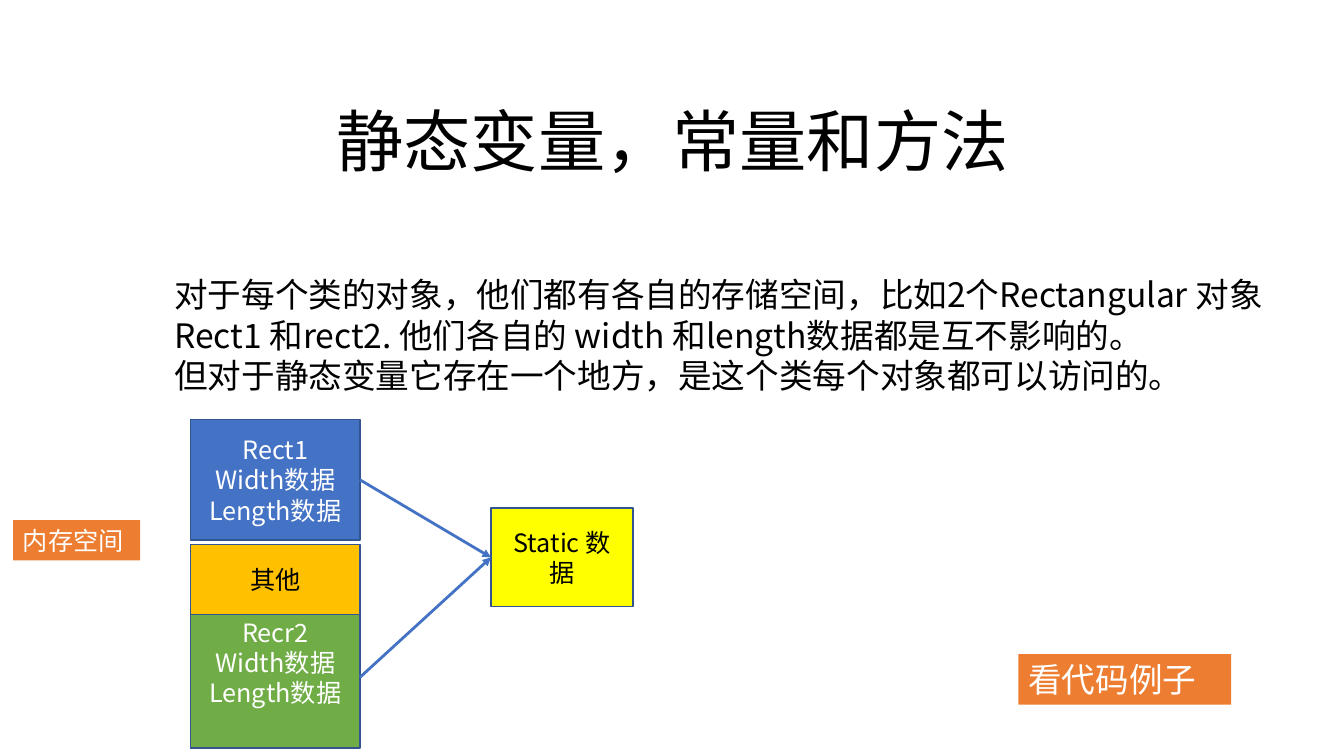
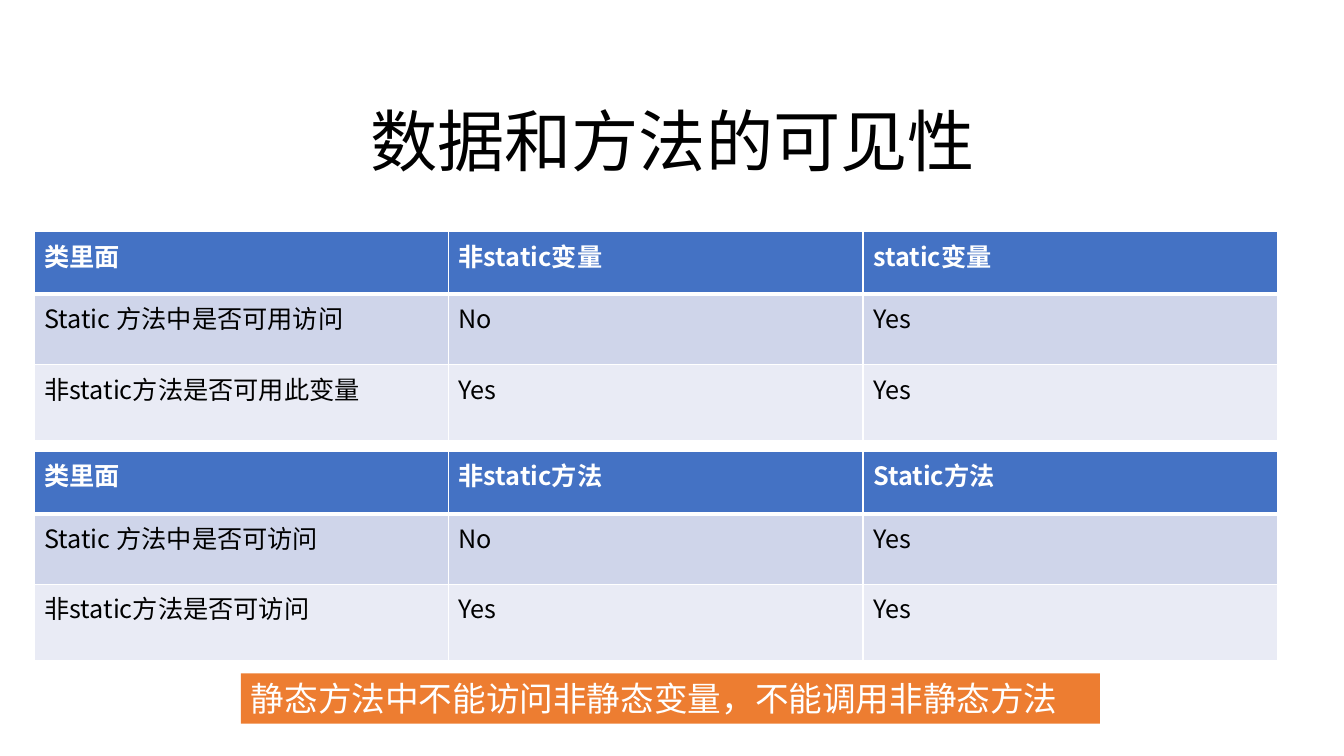
from dataclasses import dataclass

from lxml.etree import SubElement
from pptx import Presentation
from pptx.dml.color import RGBColor
from pptx.enum.shapes import MSO_CONNECTOR, MSO_SHAPE
from pptx.enum.text import MSO_ANCHOR, PP_ALIGN
from pptx.oxml import parse_xml
from pptx.oxml.ns import nsdecls, qn
from pptx.shapes.autoshape import Shape
from pptx.slide import Slide
from pptx.table import _Cell
from pptx.text.text import TextFrame
from pptx.util import Inches, Pt

FONT = "Noto Sans CJK SC"
COLORS = {
    "black": "000000",
    "white": "FFFFFF",
    "blue": "4472C4",
    "outline": "325491",
    "orange": "ED7D31",
    "green": "70AD47",
    "yellow": "FFFF00",
    "gold": "FFC000",
    "band_dark": "CFD5EA",
    "band_light": "E9EBF5",
}
ROW_FILLS = ["blue", "band_dark", "band_light"]
ROW_HEIGHTS = [0.62, 0.7, 0.75]
COLUMN_WIDTH = 4.11


@dataclass(frozen=True)
class Block:
    """A memory block with centred text."""

    text: str
    left: float
    top: float
    width: float
    height: float
    fill: str
    color: str = "white"
    bottom_inset: float = 0.05


@dataclass(frozen=True)
class Label:
    """An orange label with left-aligned text."""

    text: str
    left: float
    top: float
    width: float
    height: float
    size: int = 24


@dataclass(frozen=True)
class Grid:
    """A table of access rules."""

    top: float
    rows: list[list[str]]


RECT1 = Block("Rect1\nWidth数据\nLength数据", 1.89, 4.16, 1.68, 1.2, "blue")
RECT2 = Block("Recr2\nWidth数据\nLength数据", 1.89, 6.02, 1.68, 1.4, "green",
              bottom_inset=0.35)
STATIC = Block("Static 数据", 4.87, 5.04, 1.41, 0.98, "yellow", "black")
OTHER = Block("其他", 1.89, 5.4, 1.68, 0.7, "gold", "black")
MEMORY_LABELS = [
    Label("看代码例子", 10.1, 6.49, 2.11, 0.5),
    Label("内存空间", 0.13, 5.16, 1.26, 0.4, 18),
]
RULE_LABEL = Label("静态方法中不能访问非静态变量，不能调用非静态方法", 2.39, 6.68, 8.52, 0.5)
GRIDS = [
    Grid(2.3, [
        ["类里面", "非static变量", "static变量"],
        ["Static 方法中是否可用访问", "No", "Yes"],
        ["非static方法是否可用此变量", "Yes", "Yes"],
    ]),
    Grid(4.48, [
        ["类里面", "非static方法", "Static方法"],
        ["Static 方法中是否可访问", "No", "Yes"],
        ["非static方法是否可访问", "Yes", "Yes"],
    ]),
]
INTRODUCTION = (
    "对于每个类的对象，他们都有各自的存储空间，比如2个Rectangular 对象\n"
    "Rect1 和rect2. 他们各自的 width 和length数据都是互不影响的。\n"
    "但对于静态变量它存在一个地方，是这个类每个对象都可以访问的。"
)


def rgb(name: str) -> RGBColor:
    """Look up a named colour."""
    return RGBColor.from_string(COLORS[name])


def write_text(frame: TextFrame, text: str, *, size: int = 18, color: str = "black",
               bold: bool = False, align: PP_ALIGN = PP_ALIGN.LEFT,
               spacing: float | None = None,
               anchor: MSO_ANCHOR = MSO_ANCHOR.TOP) -> None:
    """Fill a frame with one formatted paragraph per line of text."""
    frame.word_wrap = True
    frame.vertical_anchor = anchor
    for index, line in enumerate(text.split("\n")):
        para = frame.add_paragraph() if index else frame.paragraphs[0]
        para.alignment = align
        if spacing:
            para.line_spacing = spacing
        span = para.add_run()
        span.text = line
        span.font.name = FONT
        span.font.size = Pt(size)
        span.font.bold = bold
        span.font.color.rgb = rgb(color)
        SubElement(span.font._element, qn("a:ea"), typeface=FONT)


def add_text(page: Slide, text: str, left: float, top: float, width: float,
             height: float, **style) -> None:
    """Add a wrapped text box."""
    box = page.shapes.add_textbox(Inches(left), Inches(top), Inches(width), Inches(height))
    write_text(box.text_frame, text, **style)


def add_title(page: Slide, text: str) -> None:
    """Add the shared slide title."""
    add_text(page, text, 0.66, 0.54, 12.02, 1.17, size=48,
             align=PP_ALIGN.CENTER, spacing=1.5)


def add_rectangle(page: Slide, item: Block | Label, fill: str) -> Shape:
    """Add a plain filled rectangle without outline."""
    box = page.shapes.add_shape(MSO_SHAPE.RECTANGLE, Inches(item.left), Inches(item.top),
                                Inches(item.width), Inches(item.height))
    box.shadow.inherit = False
    box.fill.solid()
    box.fill.fore_color.rgb = rgb(fill)
    box.line.fill.background()
    return box


def add_block(page: Slide, block: Block) -> Shape:
    """Add an outlined memory block."""
    box = add_rectangle(page, block, block.fill)
    box.line.color.rgb = rgb("outline")
    box.line.width = Pt(1)
    box.text_frame.margin_bottom = Inches(block.bottom_inset)
    write_text(box.text_frame, block.text, color=block.color,
               align=PP_ALIGN.CENTER, anchor=MSO_ANCHOR.MIDDLE)
    return box


def add_label(page: Slide, label: Label) -> None:
    """Add an orange label."""
    box = add_rectangle(page, label, "orange")
    write_text(box.text_frame, label.text, size=label.size, color="white")


def add_arrow(page: Slide, source: Shape, target: Shape) -> None:
    """Join the right side of one block to the left side of another."""
    arrow = page.shapes.add_connector(MSO_CONNECTOR.STRAIGHT, 0, 0, 0, 0)
    arrow.begin_connect(source, 3)
    arrow.end_connect(target, 1)
    arrow.line.color.rgb = rgb("blue")
    arrow.line.width = Pt(2)
    SubElement(arrow.line._get_or_add_ln(), qn("a:tailEnd"), type="triangle")
    SubElement(arrow._element.spPr, qn("a:effectLst"))


def set_borders(cell: _Cell, top: int, bottom: int) -> None:
    """Give a cell white borders of the given top and bottom widths."""
    properties = cell._tc.get_or_add_tcPr()
    widths = {"lnL": 1, "lnR": 1, "lnT": top, "lnB": bottom}
    for index, (side, width) in enumerate(widths.items()):
        properties.insert(index, parse_xml(
            f'<a:{side} {nsdecls("a")} w="{Pt(width)}"><a:solidFill>'
            f'<a:srgbClr val="{COLORS["white"]}"/></a:solidFill></a:{side}>'))


def add_grid(page: Slide, grid: Grid) -> None:
    """Add a table with a header and two banded rows."""
    columns = len(grid.rows[0])
    table = page.shapes.add_table(
        len(grid.rows), columns, Inches(0.34), Inches(grid.top),
        Inches(COLUMN_WIDTH * columns), Inches(sum(ROW_HEIGHTS))).table
    for column in table.columns:
        column.width = Inches(COLUMN_WIDTH)
    for row, texts in enumerate(grid.rows):
        table.rows[row].height = Inches(ROW_HEIGHTS[row])
        header = row == 0
        for column, text in enumerate(texts):
            cell = table.cell(row, column)
            cell.fill.solid()
            cell.fill.fore_color.rgb = rgb(ROW_FILLS[row])
            set_borders(cell, 3 if row == 1 else 1, 3 if header else 1)
            write_text(cell.text_frame, text, bold=header,
                       color="white" if header else "black")


def build_memory_page(page: Slide) -> None:
    """Show where object data and static data are stored."""
    add_title(page, "静态变量，常量和方法")
    add_text(page, INTRODUCTION, 1.63, 2.67, 11.71, 1.72, size=24)
    for label in MEMORY_LABELS:
        add_label(page, label)
    rect1, rect2, static = [add_block(page, block) for block in (RECT1, RECT2, STATIC)]
    for source in (rect1, rect2):
        add_arrow(page, source, static)
    add_block(page, OTHER)


def build_visibility_page(page: Slide) -> None:
    """Show which methods can reach which members."""
    add_title(page, "数据和方法的可见性")
    for grid in GRIDS:
        add_grid(page, grid)
    add_label(page, RULE_LABEL)


def main() -> None:
    """Build and save the deck."""
    deck = Presentation()
    deck.slide_width = Inches(13.33)
    deck.slide_height = Inches(7.5)
    for build in (build_memory_page, build_visibility_page):
        build(deck.slides.add_slide(deck.slide_layouts[6]))
    deck.save("out.pptx")


if __name__ == "__main__":
    main()
